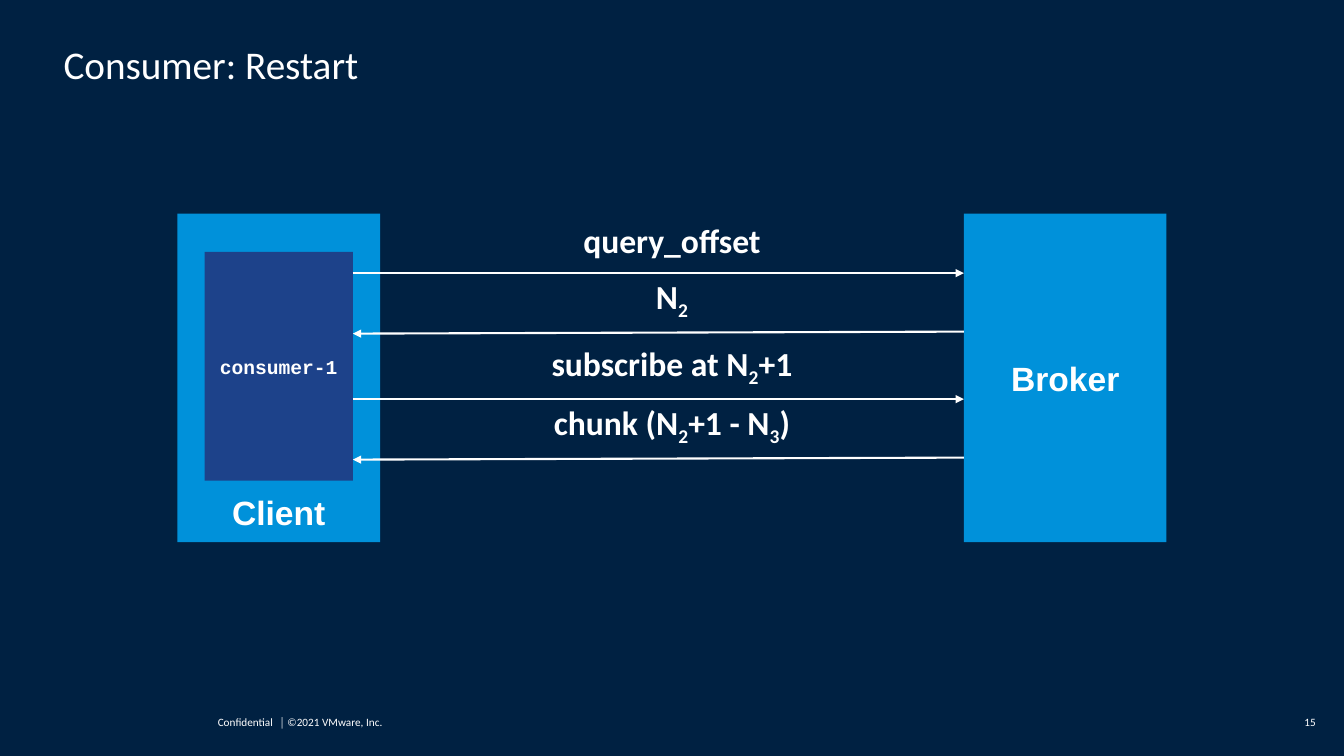
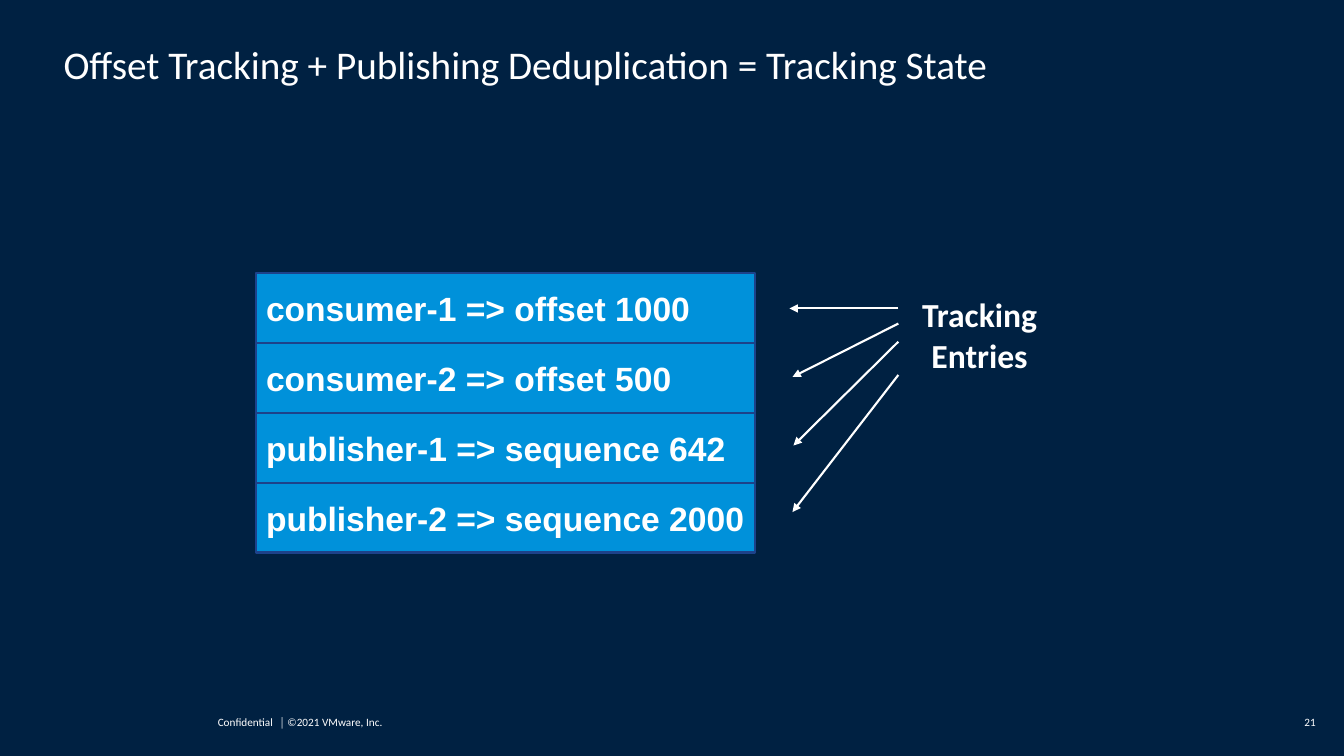
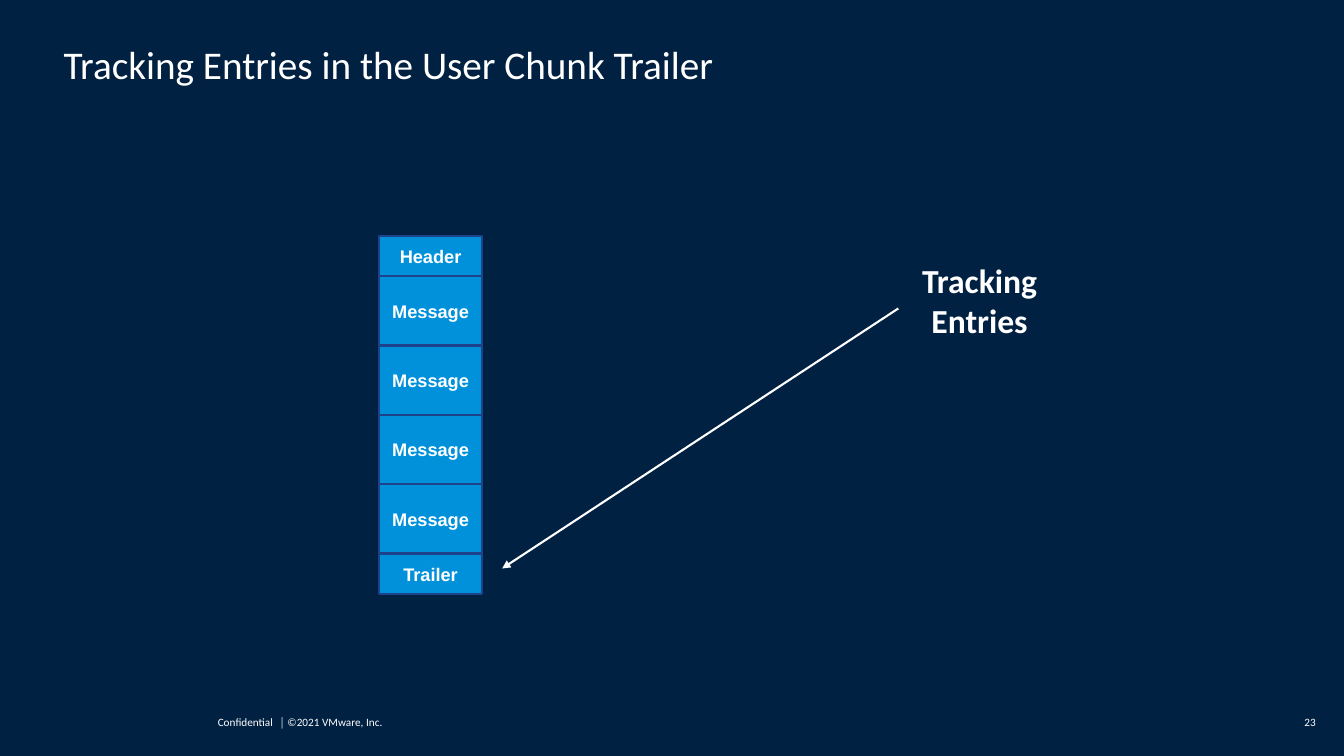
"""Build three slides on offset tracking and publishing deduplication."""
from dataclasses import dataclass, replace
from itertools import accumulate
from typing import Any, NamedTuple

from lxml import etree
from pptx import Presentation
from pptx.dml.color import RGBColor
from pptx.enum import shapes, text
from pptx.oxml import ns
from pptx.slide import Slide
from pptx.text.text import TextFrame
from pptx.util import Emu, Inches, Pt

WIDTH, HEIGHT = Inches(13.33), Inches(7.5)
COLUMNS, ROWS = 133.3, 75
LEFT, CENTER, RIGHT = text.PP_ALIGN.LEFT, text.PP_ALIGN.CENTER, text.PP_ALIGN.RIGHT
MIDDLE, BOTTOM = text.MSO_ANCHOR.MIDDLE, text.MSO_ANCHOR.BOTTOM


@dataclass(frozen=True)
class Theme:
    """Colours, typefaces, type sizes and line width of the deck."""

    background: RGBColor = RGBColor(0x00, 0x21, 0x42)
    block: RGBColor = RGBColor(0x00, 0x91, 0xDA)
    accent: RGBColor = RGBColor(0x1D, 0x42, 0x8A)
    ink: RGBColor = RGBColor(0xFF, 0xFF, 0xFF)
    body_font: str = "Calibri"
    block_font: str = "Arial"
    code_font: str = "Courier New"
    title_size: int = 28
    label_size: int = 24
    code_size: int = 14
    cell_size: int = 13
    footer_size: int = 8
    stroke: float = 1.5


THEME = Theme()


class Area(NamedTuple):
    """A rectangle in grid columns and rows."""

    left: float
    top: float
    width: float
    height: float


class Arrow(NamedTuple):
    """A straight arrow in grid columns and rows, pointing at its end."""

    start_column: float
    start_row: float
    end_column: float
    end_row: float


@dataclass(frozen=True)
class Style:
    """How the text in one box is set."""

    size: int = THEME.label_size
    name: str = THEME.body_font
    bold: bool = True
    alignment: text.PP_ALIGN = CENTER
    anchor: text.MSO_ANCHOR = MIDDLE
    margin: float = 1
    spacing: float = 1.0


class Exchange(NamedTuple):
    """A request and its reply, each alternating plain and subscript spans."""

    request: tuple[str, ...]
    reply: tuple[str, ...]


LABEL = Style()
BLOCK = Style(name=THEME.block_font)
CELL = replace(BLOCK, size=THEME.cell_size)
ENTRY = replace(BLOCK, alignment=LEFT)
CODE = Style(size=THEME.code_size, name=THEME.code_font)
TITLE = Style(THEME.title_size, bold=False, alignment=LEFT, anchor=BOTTOM, margin=0, spacing=0.9)
FOOTER = replace(TITLE, size=THEME.footer_size, anchor=MIDDLE)
NUMBER = replace(FOOTER, alignment=RIGHT)

TITLE_AREA = Area(6.3, 4.5, 120.3, 4.2)
FOOTER_AREA = Area(21.6, 70.7, 18.9, 2)
NUMBER_AREA = Area(125.7, 70.7, 4.8, 2)
FOOTER_TAB = 6.1


def across(columns: float) -> Emu:
    """Turn grid columns into a length."""
    return Emu(round(WIDTH * columns / COLUMNS))


def down(rows: float) -> Emu:
    """Turn grid rows into a length."""
    return Emu(round(HEIGHT * rows / ROWS))


def bounds(area: Area) -> tuple[Emu, Emu, Emu, Emu]:
    """Turn a grid area into lengths."""
    return across(area.left), down(area.top), across(area.width), down(area.height)


def assign(target: Any, values: dict[str, Any]) -> None:
    """Set every named attribute on the target."""
    for name, value in values.items():
        setattr(target, name, value)


def write(frame: TextFrame, paragraphs: list[tuple[str, ...]], style: Style) -> None:
    """Fill a frame with paragraphs whose every second span is subscript."""
    sides = ("margin_left", "margin_top", "margin_right", "margin_bottom")
    assign(frame, {side: across(style.margin) for side in sides})
    assign(frame, {"word_wrap": True, "auto_size": text.MSO_AUTO_SIZE.NONE,
                   "vertical_anchor": style.anchor})
    for index, spans in enumerate(paragraphs):
        para = frame.add_paragraph() if index else frame.paragraphs[0]
        assign(para, {"alignment": style.alignment, "line_spacing": style.spacing})
        for position, content in enumerate(spans):
            span = para.add_run()
            span.text = content
            assign(span.font, {"size": Pt(style.size), "name": style.name, "bold": style.bold})
            span.font.color.rgb = THEME.ink
            if position % 2:
                span._r.get_or_add_rPr().set("baseline", "-25000")


def add_label(page: Slide, area: Area, paragraphs: list[tuple[str, ...]],
              style: Style = LABEL) -> TextFrame:
    """Add a text box and return its frame."""
    frame = page.shapes.add_textbox(*bounds(area)).text_frame
    write(frame, paragraphs, style)
    return frame


def add_block(page: Slide, area: Area, caption: str, style: Style = BLOCK,
              fill: RGBColor = THEME.block, outlined: bool = False) -> None:
    """Add a filled rectangle with a caption."""
    block = page.shapes.add_shape(shapes.MSO_SHAPE.RECTANGLE, *bounds(area))
    block.shadow.inherit = False
    block.fill.solid()
    block.fill.fore_color.rgb = fill
    if outlined:
        block.line.color.rgb = THEME.accent
        block.line.width = Pt(THEME.stroke)
    else:
        block.line.fill.background()
    write(block.text_frame, [(caption,)], style)


def add_stack(page: Slide, left: float, top: float, width: float,
              rows: list[tuple[str, float]], style: Style) -> None:
    """Pile outlined blocks, given as caption and height, without gaps."""
    tops = accumulate((height for _, height in rows), initial=top)
    for (caption, height), row_top in zip(rows, tops):
        add_block(page, Area(left, row_top, width, height), caption, style, outlined=True)


def add_arrow(page: Slide, arrow: Arrow) -> None:
    """Add a straight line with a triangle at its end."""
    line = page.shapes.add_connector(
        shapes.MSO_CONNECTOR.STRAIGHT, across(arrow.start_column), down(arrow.start_row),
        across(arrow.end_column), down(arrow.end_row))
    line.line.color.rgb = THEME.ink
    line.line.width = Pt(THEME.stroke)
    etree.SubElement(line.get_or_add_ln(), ns.qn("a:tailEnd"), type="triangle")
    etree.SubElement(line._element.spPr, ns.qn("a:effectLst"))


def add_page(deck: Any, heading: str, number: int) -> Slide:
    """Add a slide with its title, footer and number."""
    page = deck.slides.add_slide(deck.slide_layouts.get_by_name("Title Only"))
    title = page.shapes.title
    assign(title, dict(zip(("left", "top", "width", "height"), bounds(TITLE_AREA))))
    write(title.text_frame, [(heading,)], TITLE)
    footer = add_label(page, FOOTER_AREA, [("Confidential\t│ ©2021 VMware, Inc.",)], FOOTER)
    properties = footer.paragraphs[0]._p.get_or_add_pPr()
    tabs = etree.SubElement(properties, ns.qn("a:tabLst"))
    etree.SubElement(tabs, ns.qn("a:tab"), pos=str(across(FOOTER_TAB)), algn="l")
    add_label(page, NUMBER_AREA, [(str(number),)], NUMBER)
    return page


def add_tracking_label(page: Slide, top: float) -> None:
    """Add the two-line label that the tracking arrows start from."""
    add_label(page, Area(84.7, top, 24.9, 4.4), [("Tracking",), ("Entries",)])


def build_restart(deck: Any) -> None:
    """Show the messages a restarting consumer exchanges with the broker."""
    page = add_page(deck, "Consumer: Restart", 15)
    client = Area(17.6, 21.2, 20.1, 32.6)
    broker = client._replace(left=95.6)
    consumer = Area(20.3, 25, 14.7, 22.7)
    add_block(page, client, "Client", replace(BLOCK, anchor=BOTTOM))
    add_block(page, broker, "Broker")
    add_block(page, consumer, "consumer-1", CODE, THEME.accent)
    near, far = consumer.left + consumer.width, broker.left
    exchanges = [
        Exchange(("query_offset",), ("N", "2")),
        Exchange(("subscribe at N", "2", "+1"), ("chunk (N", "2", "+1 - N", "3", ")")),
    ]
    for index, exchange in enumerate(exchanges):
        top = 21.6 + 12.5 * index
        add_label(page, Area(51, top, 31.3, 4.4), [exchange.request])
        add_arrow(page, Arrow(near, top + 5.5, far, top + 5.5))
        add_label(page, Area(51, top + 5.8, 31.3, 4.4), [exchange.reply])
        add_arrow(page, Arrow(far, top + 11.3, near, top + 11.5))


def build_state(deck: Any) -> None:
    """Show the tracking state as a list of entries."""
    page = add_page(deck, "Offset Tracking + Publishing Deduplication = Tracking State", 21)
    entries = ["consumer-1 => offset 1000", "consumer-2 => offset 500",
               "publisher-1 => sequence 642", "publisher-2 => sequence 2000"]
    add_stack(page, 25.4, 27.1, 49.5, [(entry, 6.93) for entry in entries], ENTRY)
    add_tracking_label(page, 31)
    for start_row, end_column, end_row in [
            (30.6, 78.3, 30.6), (32.1, 78.6, 37.4), (33.9, 78.7, 44.2), (37.2, 78.6, 50.8)]:
        add_arrow(page, Arrow(89.1, start_row, end_column, end_row))


def build_trailer(deck: Any) -> None:
    """Show where the tracking entries sit in a chunk."""
    page = add_page(deck, "Tracking Entries in the User Chunk Trailer", 23)
    parts = [("Header", 4), *[("Message", 6.88)] * 4, ("Trailer", 4)]
    add_stack(page, 37.6, 23.4, 10.2, parts, CELL)
    add_tracking_label(page, 27.6)
    add_arrow(page, Arrow(89.1, 30.6, 49.8, 56.4))


def main() -> None:
    """Build and save the deck."""
    deck = Presentation()
    assign(deck, {"slide_width": WIDTH, "slide_height": HEIGHT})
    backdrop = deck.slide_master.background.fill
    backdrop.solid()
    backdrop.fore_color.rgb = THEME.background
    for build in (build_restart, build_state, build_trailer):
        build(deck)
    deck.save("out.pptx")


if __name__ == "__main__":
    main()
